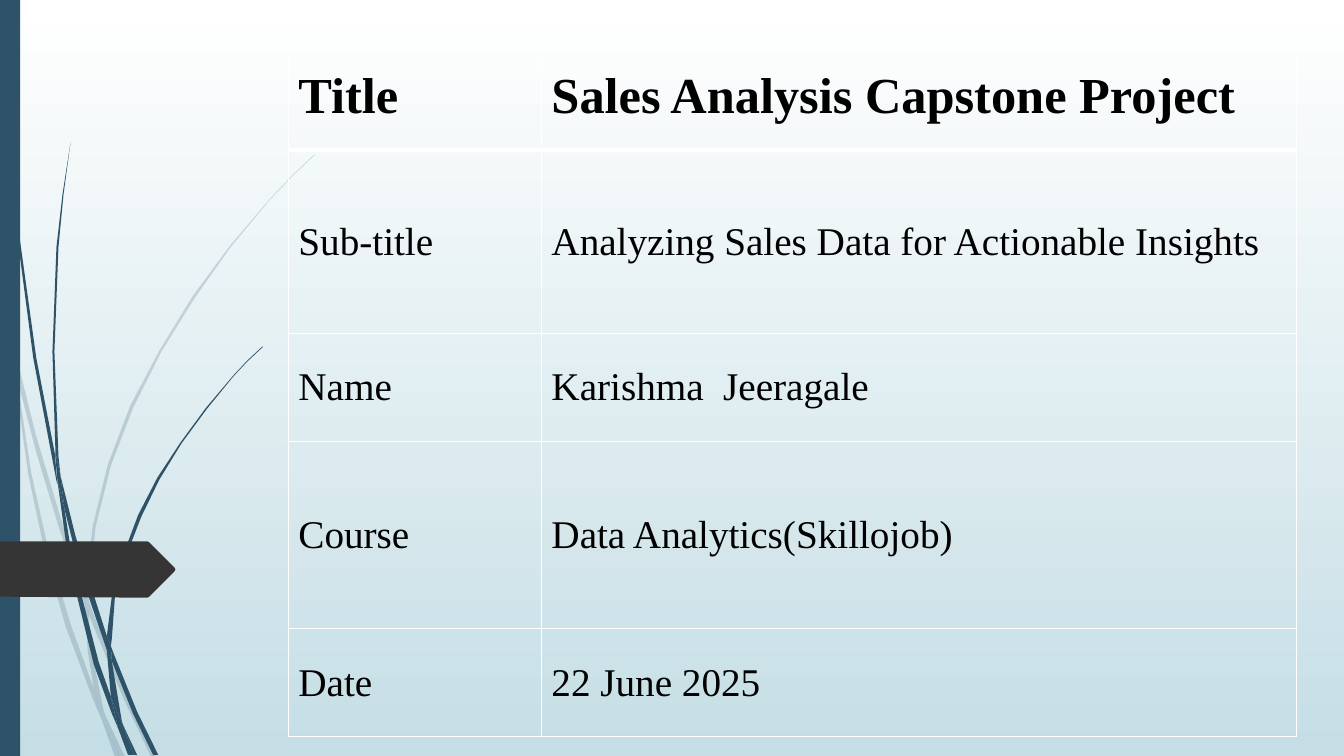
from lxml.etree import SubElement
from pptx import Presentation
from pptx.dml.color import RGBColor
from pptx.enum.shapes import MSO_SHAPE
from pptx.enum.text import MSO_ANCHOR
from pptx.oxml.ns import qn
from pptx.util import Pt

PX = 9144  # 100 px to the inch
FONT = "Times New Roman"
BLUE, DARK, WHITE, BLACK, MIST = "2E5369", "353535", "FFFFFF", "000000", "C5DEE5"

# Outlines of the grass blades, from back to front
PALE_BLADES = [
    [(11, 350), (9, 322), (0, 282), (0, 299), (10, 344)],
    [(58, 522), (84, 599), (85, 586), (62, 520), (36, 433), (14, 345), (17, 376),
     (36, 449)],
    [(92, 607), (88, 596), (88, 610), (123, 694), (150, 751), (155, 751), (127, 692),
     (109, 650)],
    [(119, 751), (124, 751), (105, 711)],
    [(93, 683), (70, 619), (48, 545), (31, 469), (17, 376), (11, 350), (28, 470),
     (44, 546), (65, 621), (92, 693), (101, 714), (99, 707)],
    [(84, 599), (87, 646), (93, 683), (96, 692), (105, 711), (103, 706), (91, 646),
     (88, 610), (88, 608)],
    [(88, 584), (95, 522), (110, 462), (132, 405), (160, 349), (193, 296), (229, 245),
     (268, 198), (290, 175), (312, 154), (312, 153), (289, 175), (268, 197), (228, 244),
     (191, 294), (158, 348), (129, 403), (107, 461), (92, 522), (85, 584), (85, 586),
     (88, 596)],
    [(101, 714), (114, 751), (119, 751)],
    [(88, 608), (88, 610), (88, 596), (85, 586), (84, 599)],
    [(96, 692), (93, 683), (99, 707), (101, 714), (119, 751), (105, 711)],
]
BLUE_BLADES = [
    [(7, 110), (17, 233), (33, 355), (56, 477), (57, 481), (55, 457), (55, 453),
     (36, 355), (19, 232), (8, 109), (5, 48), (4, 0), (3, 0), (4, 48)],
    [(88, 592), (106, 645), (106, 633), (106, 631), (93, 590), (75, 532), (60, 472),
     (64, 505), (75, 549)],
    [(113, 649), (110, 641), (111, 656), (132, 708), (152, 749), (157, 749), (136, 706)],
    [(110, 691), (98, 657), (72, 556), (64, 505), (57, 477), (68, 557), (93, 659),
     (111, 708), (117, 722), (116, 717)],
    [(60, 472), (58, 453), (54, 349), (58, 245), (63, 193), (70, 141), (62, 193),
     (56, 245), (52, 349), (55, 449)],
    [(133, 749), (136, 749), (122, 719)],
    [(57, 477), (64, 505), (60, 472), (55, 449), (55, 453)],
    [(111, 633), (114, 592), (125, 552), (140, 513), (158, 476), (180, 440), (205, 406),
     (231, 374), (245, 359), (261, 344), (260, 344), (245, 358), (231, 373), (204, 405),
     (179, 439), (156, 474), (137, 511), (122, 551), (111, 591), (106, 631), (110, 641)],
    [(117, 722), (127, 749), (131, 749)],
    [(106, 645), (110, 691), (116, 706), (122, 719), (121, 716), (111, 656), (109, 651)],
    [(106, 645), (109, 651), (111, 656), (110, 641), (106, 631), (106, 633)],
    [(116, 706), (110, 691), (116, 717), (117, 722), (130, 749), (133, 749), (122, 719)],
]
PAGE_TAB = [(173, 567), (148, 592), (146, 593), (0, 592), (0, 537), (146, 537),
            (148, 538), (173, 563), (174, 565)]

ROWS = [
    ("Title", "Sales Analysis Capstone Project"),
    ("Sub-title", "Analyzing Sales Data for Actionable Insights"),
    ("Name", "Karishma  Jeeragale"),
    ("Course", "Data Analytics(Skillojob)"),
    ("Date", "22 June 2025"),
]


def rgb(color):
    return RGBColor.from_string(color)


class SlideBuilder:
    def __init__(self, prs):
        self.s = prs.slides.add_slide(prs.slide_layouts[6])

    def background(self, top, bottom):
        fill = self.s.background.fill
        fill.gradient()
        fill.gradient_angle = 270
        for stop, color in zip(fill.gradient_stops, (top, bottom)):
            stop.color.rgb = rgb(color)

    def paint(self, sp, color, alpha=100):
        sp.shadow.inherit = False
        sp.line.fill.background()
        sp.fill.solid()
        sp.fill.fore_color.rgb = rgb(color)
        if alpha < 100:
            clr = sp._element.spPr.find(qn("a:solidFill"))[0]
            SubElement(clr, qn("a:alpha"), val=str(alpha * 1000))

    def rectangle(self, x, y, w, h, color):
        sp = self.s.shapes.add_shape(MSO_SHAPE.RECTANGLE, x * PX, y * PX, w * PX, h * PX)
        self.paint(sp, color)

    def outline(self, points, color, alpha=100):
        builder = self.s.shapes.build_freeform(*points[0], scale=PX)
        builder.add_line_segments(points[1:], close=True)
        self.paint(builder.convert_to_shape(), color, alpha)

    def border(self, cell, side, width):
        ln = SubElement(cell._tc.get_or_add_tcPr(), qn(f"a:ln{side}"), w=str(Pt(width)))
        SubElement(SubElement(ln, qn("a:solidFill")), qn("a:srgbClr"), val=WHITE)

    def cell(self, cell, text, row):
        header = row == 0
        for side in "LRTB":
            heavy = (row, side) in ((0, "B"), (1, "T"))
            self.border(cell, side, 3 if heavy else 1)
        cell.fill.background()
        cell.vertical_anchor = MSO_ANCHOR.MIDDLE
        cell.text = text
        font = cell.text_frame.paragraphs[0].runs[0].font
        font.name, font.size, font.bold = FONT, Pt(36 if header else 28), header
        font.color.rgb = rgb(BLACK)

    def table(self, x, y, widths, heights, rows):
        table = self.s.shapes.add_table(
            len(heights), len(widths), x * PX, y * PX,
            sum(widths) * PX, sum(heights) * PX).table
        table.horz_banding = False
        for column, width in zip(table.columns, widths):
            column.width = width * PX
        for i, (row, height) in enumerate(zip(table.rows, heights)):
            row.height = height * PX
            for cell, text in zip(row.cells, rows[i]):
                self.cell(cell, text, i)


def main():
    prs = Presentation()
    prs.slide_width, prs.slide_height = 1333 * PX, 750 * PX
    slide = SlideBuilder(prs)
    slide.background(WHITE, MIST)

    # Grass blades, pale ones behind
    for points in PALE_BLADES:
        slide.outline(points, BLUE, alpha=20)
    for points in BLUE_BLADES:
        slide.outline(points, BLUE)

    # Side bar and page tab
    slide.rectangle(0, 0, 20, 750, BLUE)
    slide.outline(PAGE_TAB, DARK)

    # Project details
    slide.table(286, 42, [251, 749], [107, 182, 107, 186, 107], ROWS)
    prs.save("out.pptx")


if __name__ == "__main__":
    main()
